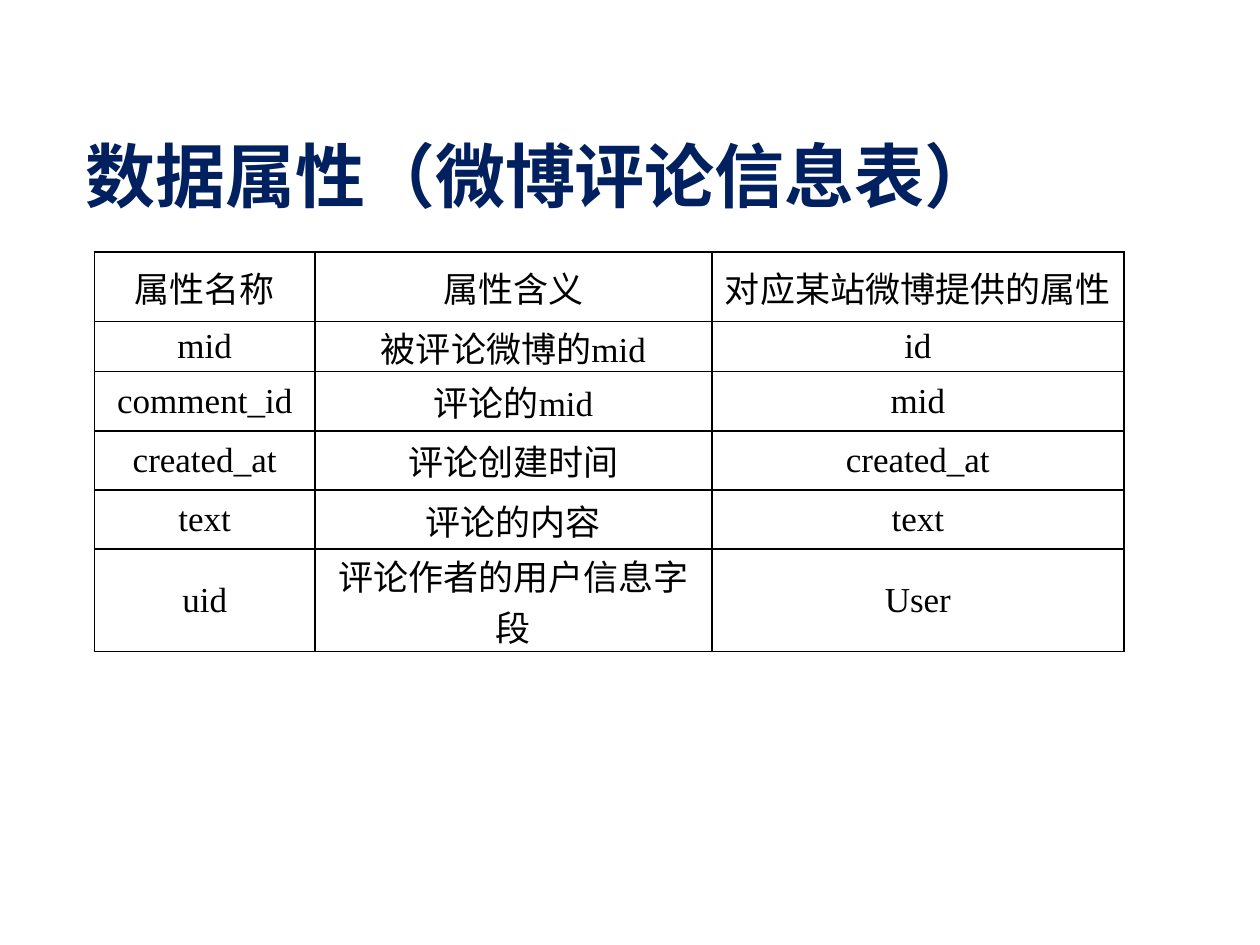
import pptx
import pptx.util
import pptx.dml.color
import pptx.enum.text
import pptx.oxml
import pptx.oxml.ns

WIDE, HIGH = 10, 7.5
COLS = [1.75, 3.15, 3.27]
ROWS = [0.55, 0.4] + [0.47] * 3 + [0.81]
DATA = [
    ("属性名称", "属性含义", "对应某站微博提供的属性"),
    ("mid", "被评论微博的mid", "id"),
    ("comment_id", "评论的mid", "mid"),
    ("created_at", "评论创建时间", "created_at"),
    ("text", "评论的内容", "text"),
    ("uid", "评论作者的用户信息字段", "User"),
]


def inch(*sizes):
    """Turn numbers into lengths in inches."""
    return [pptx.util.Inches(size) for size in sizes]


def tint(code):
    """Turn a hex string into a colour."""
    return pptx.dml.color.RGBColor.from_string(code)


def style(para, face, size, code, bold=False):
    """Set the font of a whole paragraph."""
    font = para.font
    font.name, font.size, font.bold = face, pptx.util.Pt(size), bold
    font.color.rgb = tint(code)


def edge(cell, code, width):
    """Draw a solid line on all four sides of a cell."""
    props = cell._tc.get_or_add_tcPr()
    for spot, side in enumerate(("lnL", "lnR", "lnT", "lnB")):
        line = pptx.oxml.parse_xml(
            f'<a:{side} {pptx.oxml.ns.nsdecls("a")} w="{pptx.util.Pt(width)}">'
            f'<a:solidFill><a:srgbClr val="{code}"/></a:solidFill></a:{side}>')
        props.insert(spot, line)


def title(slide, box, text):
    """Place the heading in its box."""
    frame = slide.shapes.add_textbox(*inch(*box)).text_frame
    frame.word_wrap = True
    frame.margin_right = 0
    frame.vertical_anchor = pptx.enum.text.MSO_ANCHOR.TOP
    frame.text = text
    para = frame.paragraphs[0]
    para.line_spacing = 0.9
    style(para, "Calibri", 40, "002060", True)


def fill(cell, text):
    """Write one centred table cell with its border."""
    cell.text = text
    cell.fill.background()
    cell.vertical_anchor = pptx.enum.text.MSO_ANCHOR.MIDDLE
    cell.margin_left, cell.margin_right = inch(0.07, 0.07)
    cell.margin_top = cell.margin_bottom = 0
    para = cell.text_frame.paragraphs[0]
    para.alignment = pptx.enum.text.PP_ALIGN.CENTER
    style(para, "Times New Roman", 20, "000000")
    edge(cell, "000000", 1)


def grid(slide, left, top):
    """Place the table of fields at the given corner."""
    box = inch(left, top, sum(COLS), sum(ROWS))
    table = slide.shapes.add_table(len(ROWS), len(COLS), *box).table
    table.first_row = table.horz_banding = False
    for col, width in zip(table.columns, inch(*COLS)):
        col.width = width
    for row, height, texts in zip(table.rows, inch(*ROWS), DATA):
        row.height = height
        for cell, text in zip(row.cells, texts):
            fill(cell, text)


def main():
    """Build the slide and save it."""
    deck = pptx.Presentation()
    deck.slide_width, deck.slide_height = inch(WIDE, HIGH)
    slide = deck.slides.add_slide(deck.slide_layouts[6])
    title(slide, (0.58, 1.08, 7.42, 0.98), "数据属性（微博评论信息表）")
    grid(slide, 0.75, 2)
    deck.save("out.pptx")


if __name__ == "__main__":
    main()
